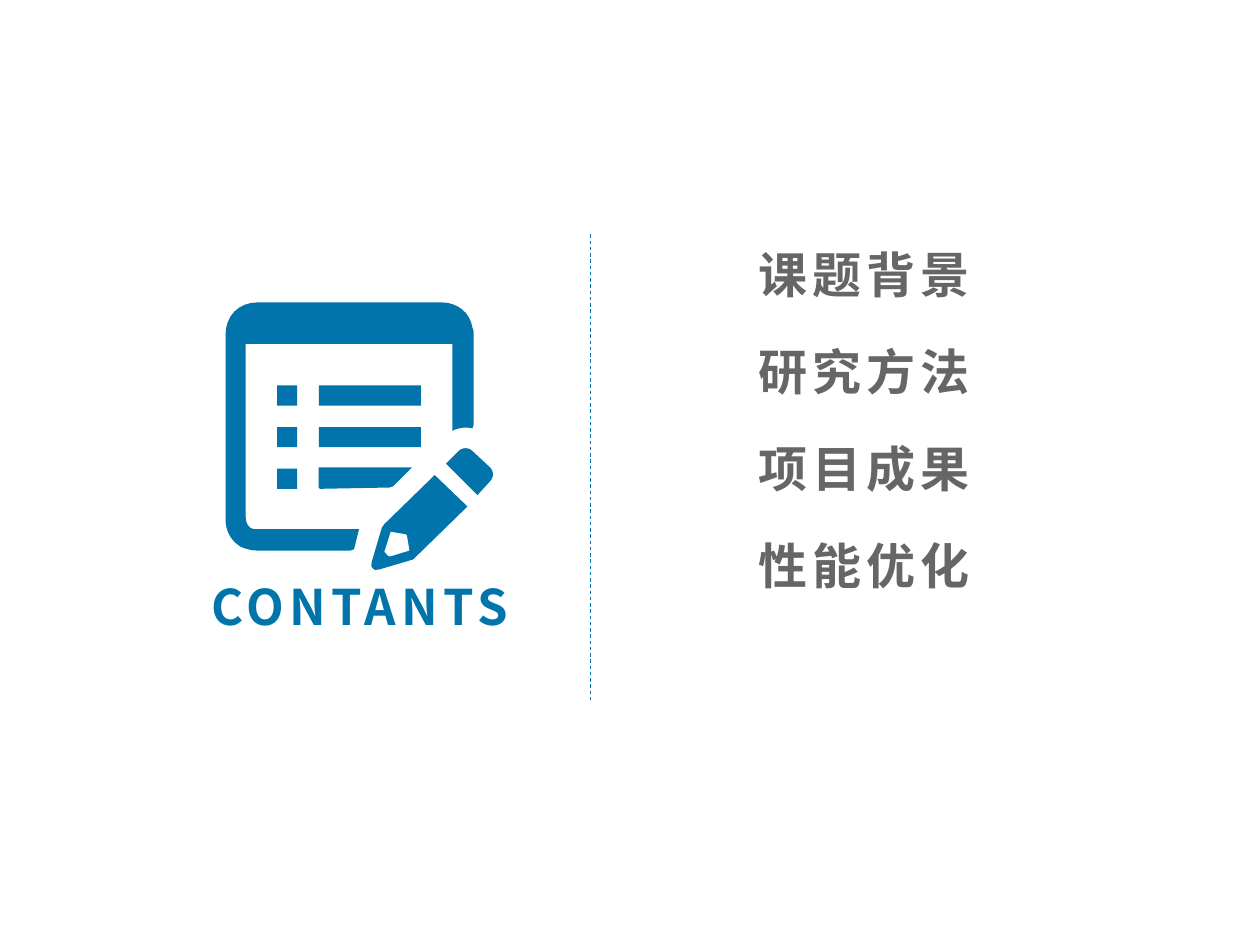
from dataclasses import dataclass

from lxml.etree import SubElement
from pptx import Presentation
from pptx.dml.color import RGBColor
from pptx.enum.dml import MSO_LINE
from pptx.enum.shapes import MSO_CONNECTOR as Link, MSO_SHAPE as Shape
from pptx.enum.text import MSO_AUTO_SIZE as Fit, PP_ALIGN as Align
from pptx.oxml.ns import qn
from pptx.util import Inches, Pt


@dataclass(frozen=True)
class Theme:
    blue: RGBColor = RGBColor(0x01, 0x74, 0xAB)
    gray: RGBColor = RGBColor(0x66, 0x66, 0x66)
    font: str = "Noto Sans CJK SC"
    size: int = 28
    track: int = 300
    rule: float = 0.5


@dataclass(frozen=True)
class Label:
    text: str
    left: float
    top: float
    width: float
    color: RGBColor
    align: Align = Align.LEFT


THEME = Theme()
STEPS = 8  # points per curve

# Outlines in inches: a pair is a corner, six numbers are a cubic curve
SHEET = [
    (2.85, 4.2), (2.81, 4.36), (2.78, 4.37), (2.05, 4.37),
    (2, 4.37, 1.96, 4.36, 1.91, 4.34), (1.83, 4.29, 1.79, 4.21, 1.79, 4.12),
    (1.79, 2.66), (1.79, 2.51, 1.89, 2.4, 2.05, 2.4),
    (3.5, 2.4), (3.63, 2.4, 3.73, 2.48, 3.75, 2.6),
    (3.76, 2.62, 3.76, 2.64, 3.76, 2.66), (3.76, 3.37), (3.75, 3.4),
    (3.7, 3.39, 3.65, 3.39, 3.59, 3.42), (3.59, 2.73), (1.95, 2.73),
    (1.95, 4.1), (1.95, 4.16, 1.98, 4.21, 2.05, 4.2),
]
BODY = [
    (3.45, 3.77), (3.71, 4.02), (3.31, 4.41), (3.28, 4.44), (3.01, 4.52),
    (2.99, 4.52, 2.97, 4.53, 2.96, 4.51), (2.94, 4.5, 2.95, 4.48, 2.95, 4.46),
    (3.03, 4.19), (3.05, 4.16),
]
TIP = [
    (3.1, 4.22), (3.05, 4.38), (3.06, 4.39),
    (3.08, 4.42, 3.09, 4.42, 3.12, 4.41), (3.25, 4.37), (3.23, 4.25), (3.22, 4.24),
]
CAP = [
    (3.54, 3.68), (3.64, 3.58), (3.67, 3.55, 3.72, 3.55, 3.75, 3.58),
    (3.89, 3.71), (3.92, 3.74, 3.92, 3.79, 3.89, 3.82), (3.79, 3.93),
]
CUT_BAR = [
    (2.53, 3.71), (3.27, 3.71), (3.12, 3.86), (3.09, 3.87), (2.54, 3.88), (2.53, 3.87),
]


def flatten(outline: list) -> list:
    """Turn corners and curves into plain points."""
    points = []
    for part in outline:
        if len(part) == 2:
            points.append(part)
            continue
        start, ctrl, bend, end = points[-1], part[:2], part[2:4], part[4:]
        for step in range(1, STEPS + 1):
            t = step / STEPS
            u = 1 - t
            points.append(tuple(
                u**3 * a + 3 * u * u * t * b + 3 * u * t * t * c + t**3 * d
                for a, b, c, d in zip(start, ctrl, bend, end)
            ))
    return points


def paint(shape) -> None:
    shape.shadow.inherit = False
    shape.fill.solid()
    shape.fill.fore_color.rgb = THEME.blue
    shape.line.fill.background()


def add_form(shapes, *outlines: list) -> None:
    pen = None
    for outline in outlines:
        first, *rest = [(Inches(x), Inches(y)) for x, y in flatten(outline)]
        if pen is None:
            pen = shapes.build_freeform(*first)
        else:
            pen.move_to(*first)
        pen.add_line_segments(rest, close=True)
    paint(pen.convert_to_shape())


def add_box(shapes, left: float, top: float, width: float, height: float) -> None:
    paint(shapes.add_shape(
        Shape.RECTANGLE, Inches(left), Inches(top), Inches(width), Inches(height)))


def add_label(shapes, label: Label) -> None:
    box = shapes.add_textbox(
        Inches(label.left), Inches(label.top), Inches(label.width), Inches(0.57))
    frame = box.text_frame
    frame.word_wrap = True
    frame.auto_size = Fit.SHAPE_TO_FIT_TEXT
    para = frame.paragraphs[0]
    para.alignment = label.align
    run = para.add_run()
    run.text = label.text
    font = para.font
    font.name, font.size, font.bold = THEME.font, Pt(THEME.size), True
    font.color.rgb = label.color
    # Letter spacing and the East Asian face
    props = run.font._element
    props.set("spc", str(THEME.track))
    SubElement(props, qn("a:ea")).set("typeface", THEME.font)


def add_rule(shapes, x: float, top: float, end: float) -> None:
    rule = shapes.add_connector(
        Link.STRAIGHT, Inches(x), Inches(top), Inches(x), Inches(end))
    rule.line.color.rgb = THEME.blue
    rule.line.width = Pt(THEME.rule)
    rule.line.dash_style = MSO_LINE.DASH
    SubElement(rule._element.spPr, qn("a:effectLst"))


def add_icon(shapes) -> None:
    parts = shapes.add_group_shape().shapes
    for outline in ([SHEET], [BODY, TIP], [CUT_BAR], [CAP]):
        add_form(parts, *outline)
    # List rows: a square each, with full bars on the first two
    for row in range(3):
        top = 3.06 + 0.33 * row
        add_box(parts, 2.2, top, 0.16, 0.16)
        if row < 2:
            add_box(parts, 2.53, top, 0.81, 0.16)


def main() -> None:
    deck = Presentation()
    deck.slide_width, deck.slide_height = Inches(10), Inches(7.5)
    shapes = deck.slides.add_slide(deck.slide_layouts[6]).shapes

    # Divider
    add_rule(shapes, 4.69, 1.86, 5.57)

    # Notepad and its caption
    add_icon(shapes)
    add_label(shapes, Label("CONTANTS", 1.4, 4.53, 2.91, THEME.blue, Align.CENTER))

    # Topics
    for row, text in enumerate(("课题背景", "研究方法", "项目成果", "性能优化")):
        add_label(shapes, Label(text, 5.92, 1.89 + 0.77 * row, 1.96, THEME.gray))

    deck.save("out.pptx")


if __name__ == "__main__":
    main()
